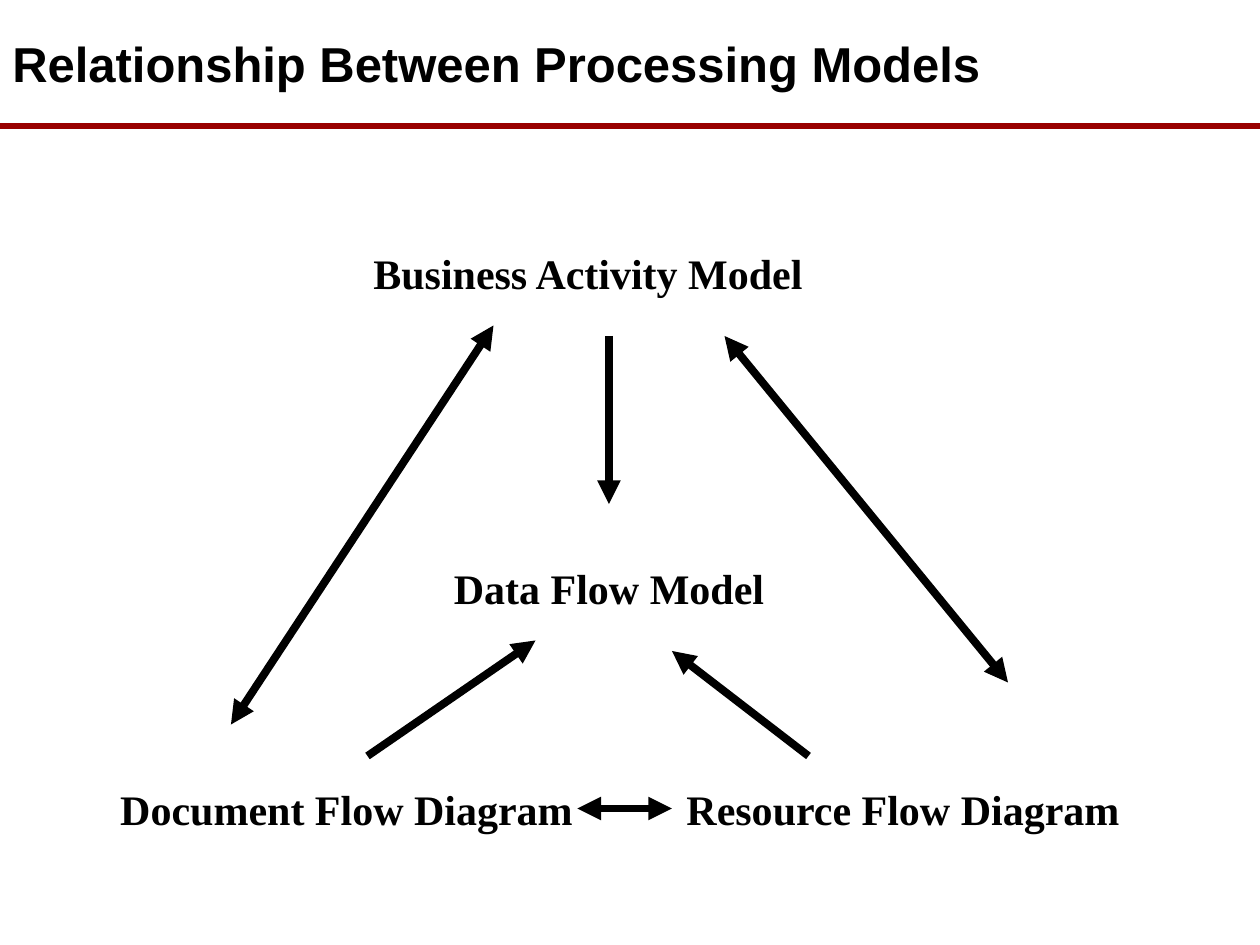
from dataclasses import dataclass

from lxml.etree import SubElement
from pptx import Presentation
from pptx.dml.color import RGBColor
from pptx.enum.shapes import MSO_CONNECTOR
from pptx.enum.text import MSO_ANCHOR, PP_ALIGN
from pptx.oxml.ns import qn
from pptx.slide import Slide
from pptx.util import Pt

BLACK = RGBColor(0x00, 0x00, 0x00)
RED = RGBColor(0x99, 0x00, 0x00)


@dataclass
class Label:
    text: str
    left: float
    top: float
    width: float = 276
    height: float = 36
    font: str = "Times New Roman"
    size: float = 24
    align: PP_ALIGN = PP_ALIGN.CENTER
    anchor: MSO_ANCHOR = MSO_ANCHOR.TOP
    before: float = 15


@dataclass
class Line:
    start: tuple[float, float]
    end: tuple[float, float]
    heads: tuple[str, ...] = ("tailEnd",)
    color: RGBColor = BLACK
    width: float = 4.5


def add_label(slide: Slide, label: Label) -> None:
    box = slide.shapes.add_textbox(
        Pt(label.left), Pt(label.top), Pt(label.width), Pt(label.height))
    frame = box.text_frame
    frame.word_wrap = True
    frame.vertical_anchor = label.anchor
    par = frame.paragraphs[0]
    par.alignment = label.align
    par.space_before = Pt(label.before)
    run = par.add_run()
    run.text = label.text
    run.font.name = label.font
    run.font.size = Pt(label.size)
    run.font.bold = True
    run.font.color.rgb = BLACK


def add_line(slide: Slide, line: Line) -> None:
    ends = [Pt(n) for n in line.start + line.end]
    shape = slide.shapes.add_connector(MSO_CONNECTOR.STRAIGHT, *ends)
    shape.line.color.rgb = line.color
    shape.line.width = Pt(line.width)
    stroke = shape.line._get_or_add_ln()
    for head in line.heads:
        SubElement(stroke, qn(f"a:{head}"), type="triangle")
    # An empty effect list turns the shadow off
    SubElement(shape._element.spPr, qn("a:effectLst"))


BOTH = ("headEnd", "tailEnd")

RULE = Line((0, 72), (720, 72), (), RED, 4)
TITLE = Label("Relationship Between Processing Models", 0, 0, 606, 72,
              "Arial", 28, PP_ALIGN.LEFT, MSO_ANCHOR.MIDDLE, 0)

MODELS = [
    Label("Business Activity Model", 198, 138),
    Label("Data Flow Model", 210, 318),
    Label("Resource Flow Diagram", 378, 444),
    Label("Document Flow Diagram", 60, 444),
]

ARROWS = [
    # Two-way links around the outer triangle
    Line((132, 414), (282, 186), BOTH),
    Line((576, 390), (414, 192), BOTH),
    Line((330, 462), (384, 462), BOTH),
    # One-way links into the data flow model
    Line((210, 432), (306, 366)),
    Line((462, 432), (384, 372)),
    Line((348, 192), (348, 288)),
]


def main() -> None:
    deck = Presentation()
    deck.slide_width, deck.slide_height = Pt(720), Pt(540)
    slide = deck.slides.add_slide(deck.slide_layouts[6])

    # Heading
    add_line(slide, RULE)
    add_label(slide, TITLE)

    # Diagram
    for label in MODELS:
        add_label(slide, label)
    for arrow in ARROWS:
        add_line(slide, arrow)

    deck.save("out.pptx")


if __name__ == "__main__":
    main()
